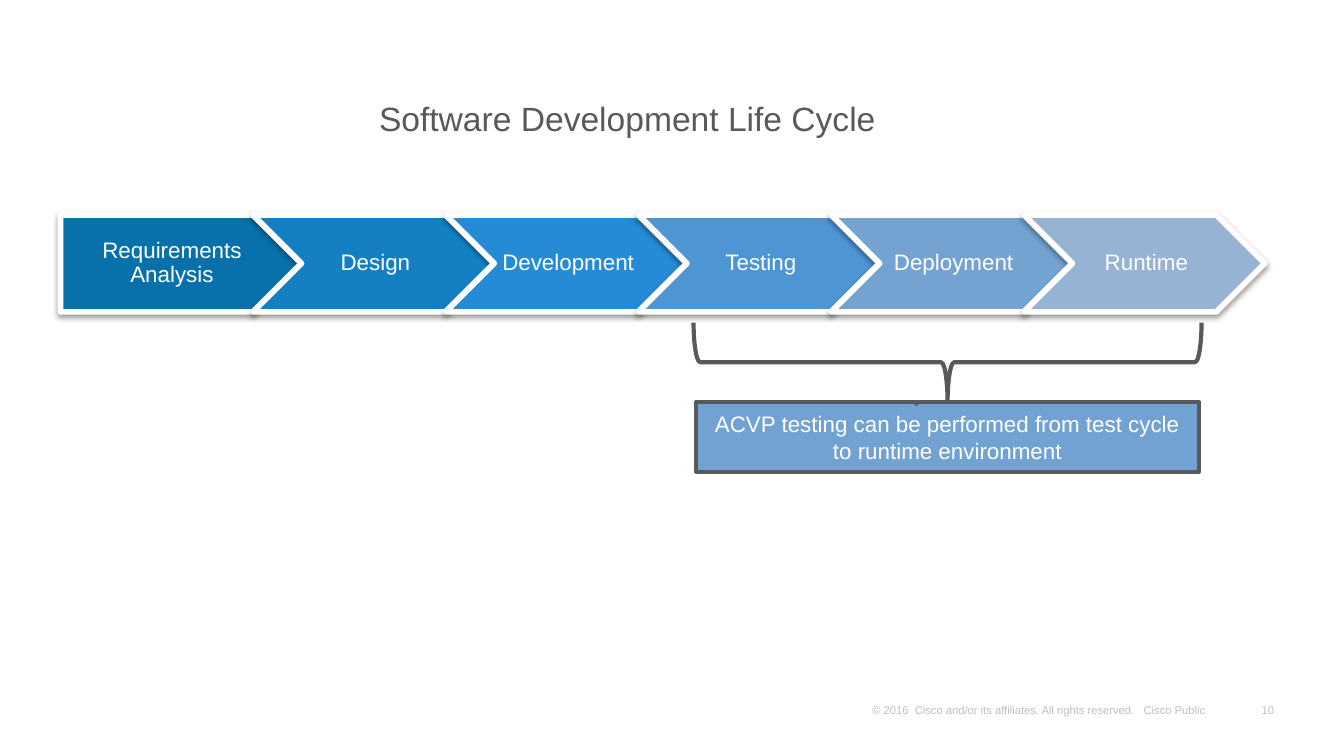
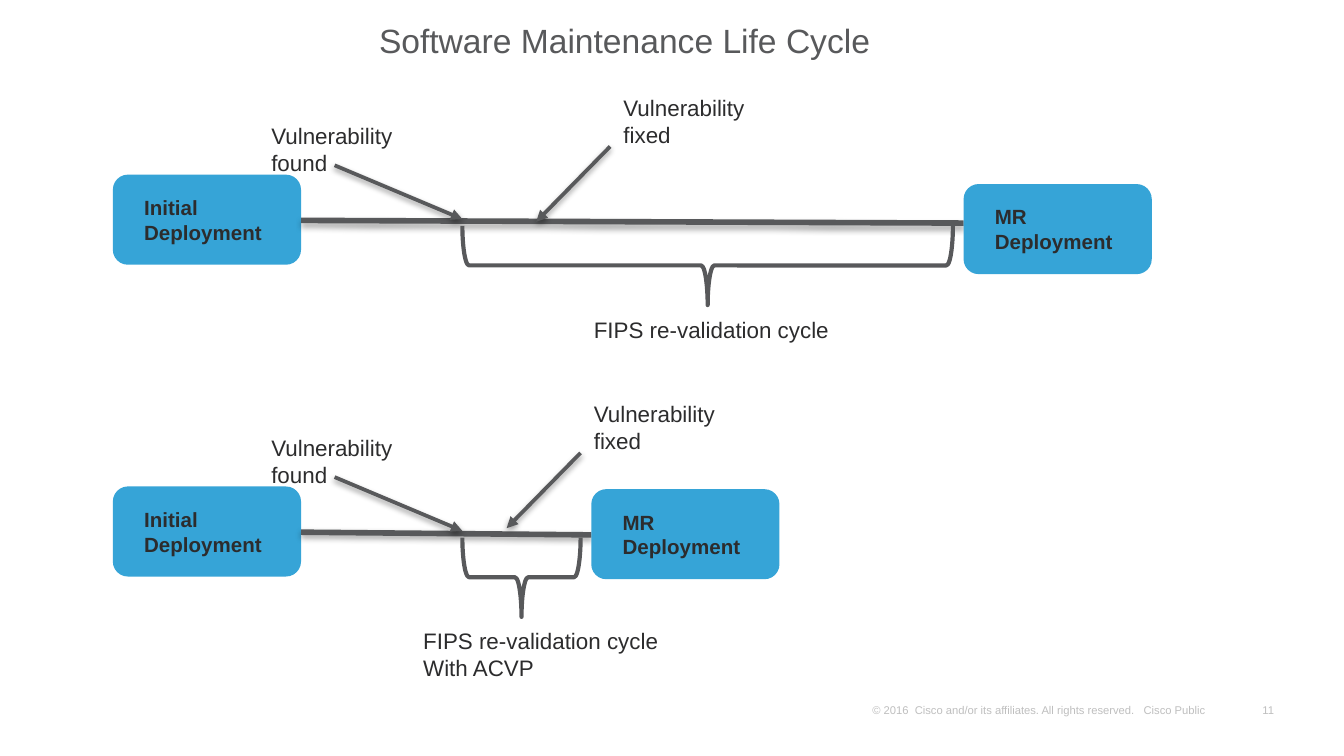
from lxml import etree
from pptx import Presentation, util as u
from pptx.dml.color import RGBColor
from pptx.enum import shapes, text
from pptx.oxml.ns import qn

# Content
COPYRIGHT = "© 2016  Cisco and/or its affiliates. All rights reserved.   Cisco Public"
FIRST_PAGE = 10

PHASES = [
    ("Requirements Analysis", "0871AB"),
    ("Design", "157FC3"),
    ("Development", "258BD7"),
    ("Testing", "4D95D3"),
    ("Deployment", "74A2D1"),
    ("Runtime", "97B3D3"),
]
ACVP_NOTE = "ACVP testing can be performed from test cycle to runtime environment"

# Places in inches: left of the release and of the labels, top of each row part
CYCLES = [
    dict(top=1.30, release=(7.17, 1.37), fixed=(4.54, 0.65), label_left=4.32,
         label=["FIPS re-validation cycle"]),
    dict(top=3.62, release=(4.40, 3.64), fixed=(4.32, 2.93), label_left=3.05,
         label=["FIPS re-validation cycle", "With ACVP"]),
]

# Shared style
FONT = "Arial"
GREY, INK, WHITE, FOOTER = "58595B", "2C2C2D", "FFFFFF", "BFBFBF"
STAGE_BLUE, NOTE_BLUE = "36A4D7", "72A2D2"
SOFT = dict(alpha=38, dist=20000)
AXIS = dict(alpha=35, dist=23000)
SLIDE_W = 10
SLIDE_H = SLIDE_W * 9 / 16
BOX_MARGINS = (0.1, 0.05, 0.1, 0.05)
FOOT_MARGINS = (0.07, 0.03, 0.07, 0.03)
BRACE_DEPTH = 0.59

SHAPE, ALIGN, ANCHOR = shapes.MSO_SHAPE, text.PP_ALIGN, text.MSO_ANCHOR


def color(value):
    return RGBColor.from_string(value)


def set_effects(part, shadow=None):
    """Replace the theme's shadow by the given one, or by none."""
    effects = etree.SubElement(part._element.spPr, qn("a:effectLst"))
    if shadow:
        outer = etree.SubElement(effects, qn("a:outerShdw"), blurRad="40000",
                                 dist=str(shadow["dist"]), dir="5400000", rotWithShape="0")
        black = etree.SubElement(outer, qn("a:srgbClr"), val="000000")
        etree.SubElement(black, qn("a:alpha"), val=str(shadow["alpha"] * 1000))


def write(part, lines, size, ink, align=ALIGN.LEFT, anchor=ANCHOR.TOP,
          margins=BOX_MARGINS, wrap=True, bold=False, spacing=None):
    frame = part.text_frame
    frame.word_wrap = wrap
    frame.vertical_anchor = anchor
    (frame.margin_left, frame.margin_top,
     frame.margin_right, frame.margin_bottom) = map(u.Inches, margins)
    frame.text = "\n".join(lines)
    for paragraph in frame.paragraphs:
        paragraph.alignment = align
        if spacing:
            paragraph.line_spacing = spacing
        font = paragraph.font
        font.name, font.size, font.bold = FONT, u.Pt(size), bold
        font.color.rgb = color(ink)


def add_text(slide, box, lines, size=12, ink=INK, **style):
    write(slide.shapes.add_textbox(*map(u.Inches, box)), lines, size, ink, **style)


def add_shape(slide, kind, box, fill=None, line=None, weight=1, shadow=None):
    shape = slide.shapes.add_shape(kind, *map(u.Inches, box))
    if fill:
        shape.fill.solid()
        shape.fill.fore_color.rgb = color(fill)
    else:
        shape.fill.background()
    if line:
        shape.line.color.rgb = color(line)
        shape.line.width = u.Pt(weight)
    else:
        shape.line.fill.background()
    set_effects(shape, shadow)
    return shape


def add_line(slide, start, end, weight, shadow, arrow=False):
    line = slide.shapes.add_connector(
        shapes.MSO_CONNECTOR.STRAIGHT, *map(u.Inches, (*start, *end)))
    line.line.color.rgb = color(GREY)
    line.line.width = u.Pt(weight)
    if arrow:
        etree.SubElement(line._element.spPr.find(qn("a:ln")), qn("a:tailEnd"), type="triangle")
    set_effects(line, shadow)


def add_brace(slide, left, right, top):
    """Draw a brace that spans left to right and points down."""
    span = right - left
    box = ((left + right - BRACE_DEPTH) / 2, top + (BRACE_DEPTH - span) / 2, BRACE_DEPTH, span)
    add_shape(slide, SHAPE.RIGHT_BRACE, box, line=GREY, weight=2.25).rotation = 90


def add_slide(prs, title, title_top):
    slide = prs.slides.add_slide(prs.slide_layouts[5])
    page = FIRST_PAGE + len(prs.slides) - 1
    foot = dict(size=6, ink=FOOTER, anchor=ANCHOR.BOTTOM, margins=FOOT_MARGINS)
    add_text(slide, (9.31, 5.19, 0.24, 0.17), [str(page)], align=ALIGN.RIGHT, wrap=False, **foot)
    add_text(slide, (6.42, 5.19, 2.91, 0.17), [COPYRIGHT], **foot)
    heading = slide.shapes.title
    heading.left, heading.top, heading.width, heading.height = map(
        u.Inches, (2.72, title_top, 3.91, 0.4))
    write(heading, [title], 18, GREY, wrap=False)
    heading.text_frame.auto_size = text.MSO_AUTO_SIZE.SHAPE_TO_FIT_TEXT
    return slide


def build_development(prs):
    slide = add_slide(prs, "Software Development Life Cycle", 0.68)
    first_left, last_left, top, width, height = 0.45, 7.62, 1.6, 1.79, 0.72
    pitch = (last_left - first_left) / (len(PHASES) - 1)
    for i, (phase, fill) in enumerate(PHASES):
        kind = SHAPE.CHEVRON if i else SHAPE.PENTAGON
        step = add_shape(slide, kind, (first_left + i * pitch, top, width, height),
                         fill, WHITE, 3, SOFT)
        write(step, [phase], 12, WHITE, ALIGN.CENTER, ANCHOR.MIDDLE,
              (0.05 if i else 0.07, 0.04, 0.02, 0.04), spacing=0.9)
    note = add_shape(slide, SHAPE.LINE_CALLOUT_1, (5.18, 2.99, 3.74, 0.52), NOTE_BLUE, GREY, 2)
    for i, share in enumerate((0.009, 0.442, 0.036, 0.435)):
        note.adjustments[i] = share
    write(note, [ACVP_NOTE], 12, WHITE, ALIGN.CENTER, ANCHOR.MIDDLE)
    add_brace(slide, 5.16, 8.94, 2.4)


def add_stage(slide, left, top, lines):
    stage = add_shape(slide, SHAPE.FLOWCHART_ALTERNATE_PROCESS, (left, top, 1.4, 0.67), STAGE_BLUE)
    write(stage, lines, 11, INK, anchor=ANCHOR.MIDDLE, margins=(0.2, 0.05, 0.1, 0.05), bold=True)


def add_cycle(slide, top, release, fixed, label_left, label):
    found_x = 3.44
    release_left, release_top = release
    fixed_left, fixed_top = fixed
    add_stage(slide, 0.84, top, ["Initial Deployment"])
    add_line(slide, (2.24, top + 0.34), (release_left, top + 0.36), 3, AXIS)
    add_text(slide, (1.92, top - 0.44, 1.35, 0.5), ["Vulnerability found"])
    add_line(slide, (2.49, top - 0.07), (found_x, top + 0.33), 2, SOFT, arrow=True)
    add_brace(slide, found_x, release_left - 0.08, top + 0.38)
    add_text(slide, (label_left, top + 1, 2.09, 0.1 + 0.2 * len(label)), label)
    add_stage(slide, release_left, release_top, ["MR", "Deployment"])
    add_text(slide, (fixed_left, fixed_top, 1.35, 0.5), ["Vulnerability fixed"])
    add_line(slide, (fixed_left, fixed_top + 0.44), (fixed_left - 0.55, fixed_top + 1),
             2, SOFT, arrow=True)


def build_maintenance(prs):
    slide = add_slide(prs, "Software Maintenance Life Cycle", 0.1)
    for cycle in CYCLES:
        add_cycle(slide, **cycle)


def main():
    prs = Presentation()
    prs.slide_width, prs.slide_height = u.Inches(SLIDE_W), u.Inches(SLIDE_H)
    build_development(prs)
    build_maintenance(prs)
    prs.save("out.pptx")


if __name__ == "__main__":
    main()
